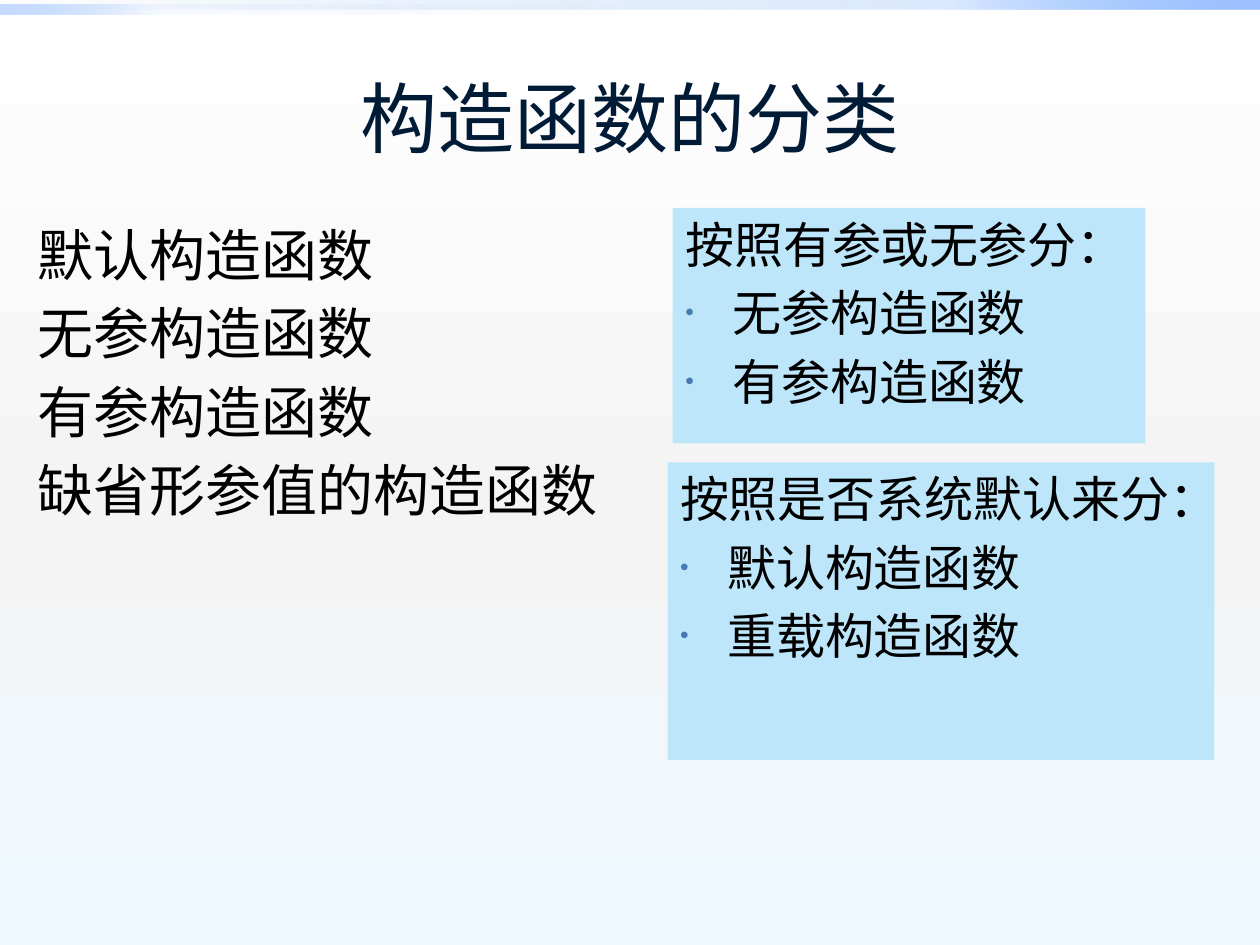
"""Build the slide on the kinds of constructors."""
from dataclasses import dataclass

from lxml.etree import SubElement
from pptx import Presentation
from pptx.dml.color import RGBColor
from pptx.enum.shapes import MSO_SHAPE
from pptx.enum.text import MSO_ANCHOR, MSO_AUTO_SIZE, PP_ALIGN
from pptx.oxml.ns import qn
from pptx.util import Cm, Pt

WHITE = RGBColor(0xFF, 0xFF, 0xFF)
PALE_GREY = RGBColor(0xF4, 0xF4, 0xF4)
PALE_BLUE = RGBColor(0xEE, 0xF9, 0xFF)
DEEP_BLUE = RGBColor(0x00, 0x58, 0xB7)
BRIGHT_BLUE = RGBColor(0x4F, 0x95, 0xFF)
SOFT_BLUE = RGBColor(0x9E, 0xC2, 0xFF)
PANEL_BLUE = RGBColor(0xBE, 0xE6, 0xFB)
BULLET_BLUE = RGBColor(0x47, 0x7A, 0xB1)
NAVY = RGBColor(0x00, 0x1B, 0x36)
BLACK = RGBColor(0x00, 0x00, 0x00)
BULLET_INDENT = Cm(0.95)


@dataclass
class Box:
    left: float
    top: float
    width: float
    height: float


@dataclass
class Stop:
    position: int
    color: RGBColor
    opacity: int = 100


@dataclass
class Bar:
    box: Box
    stops: list[Stop]
    angle: int


@dataclass
class Line:
    text: str
    bulleted: bool = False


BARS = [
    Bar(Box(0, 0, 25.4, 0.2),
        [Stop(0, DEEP_BLUE, 0), Stop(75, BRIGHT_BLUE, 20), Stop(100, SOFT_BLUE)], 315),
    Bar(Box(0, 0.1, 12.7, 0.2),
        [Stop(0, DEEP_BLUE, 0), Stop(75, BRIGHT_BLUE, 5), Stop(100, SOFT_BLUE, 60)], 135),
]
BACKGROUND = [Stop(0, WHITE), Stop(55, PALE_GREY), Stop(100, PALE_BLUE)]
BY_PARAMETERS = [Line("按照有参或无参分："), Line("无参构造函数", True), Line("有参构造函数", True)]
BY_DEFAULT = [Line("按照是否系统默认来分："), Line("默认构造函数", True), Line("重载构造函数", True)]
CONSTRUCTORS = [Line("默认构造函数"), Line("无参构造函数"), Line("有参构造函数"), Line("缺省形参值的构造函数")]


def place(shape, box: Box) -> None:
    """Move and size a shape."""
    shape.left, shape.top = Cm(box.left), Cm(box.top)
    shape.width, shape.height = Cm(box.width), Cm(box.height)


def apply_gradient(element, stops: list[Stop], angle: int) -> None:
    """Turn the solid fill of an element into a linear gradient."""
    solid = element.find(".//" + qn("a:solidFill"))
    gradient = solid.makeelement(qn("a:gradFill"), {"rotWithShape": "1"})
    stop_list = SubElement(gradient, qn("a:gsLst"))
    for stop in stops:
        entry = SubElement(stop_list, qn("a:gs"), pos=str(stop.position * 1000))
        color = SubElement(entry, qn("a:srgbClr"), val=str(stop.color))
        if stop.opacity < 100:
            SubElement(color, qn("a:alpha"), val=str(stop.opacity * 1000))
    SubElement(gradient, qn("a:lin"), ang=str(angle * 60000), scaled="0")
    solid.getparent().replace(solid, gradient)


def draw_bar(slide, bar: Bar) -> None:
    """Draw a fading bar at the top of the slide."""
    shape = slide.shapes.add_shape(MSO_SHAPE.RECTANGLE, 0, 0, 0, 0)
    place(shape, bar.box)
    shape.shadow.inherit = False
    shape.line.fill.background()
    shape.fill.solid()
    apply_gradient(shape._element, bar.stops, bar.angle)


def format_bullet(paragraph, bulleted: bool) -> None:
    """Set the indent and the bullet of a paragraph."""
    properties = paragraph._p.get_or_add_pPr()
    indent = BULLET_INDENT if bulleted else 0
    properties.set("marL", str(indent))
    properties.set("indent", str(-indent))
    if bulleted:
        color = SubElement(properties, qn("a:buClr"))
        SubElement(color, qn("a:srgbClr"), val=str(BULLET_BLUE))
        SubElement(properties, qn("a:buSzPct"), val="50000")
        SubElement(properties, qn("a:buFont"), typeface="Arial")
        SubElement(properties, qn("a:buChar"), char="•")
    else:
        SubElement(properties, qn("a:buNone"))


def format_runs(paragraph, name: str, size: int, color: RGBColor) -> None:
    """Format every run of a paragraph."""
    for run in paragraph.runs:
        run.font.name = name
        run.font.size = Pt(size)
        run.font.color.rgb = color


def fill_list(shape, box: Box, lines: list[Line], size: int) -> None:
    """Place a text shape and write its lines."""
    place(shape, box)
    frame = shape.text_frame
    frame.word_wrap = True
    frame.auto_size = MSO_AUTO_SIZE.NONE
    frame.text = "\n".join(line.text for line in lines)
    for index, (paragraph, line) in enumerate(zip(frame.paragraphs, lines)):
        format_bullet(paragraph, line.bulleted)
        paragraph.space_before = Pt(0.2 * size if index else 0)
        format_runs(paragraph, "Cambria", size, BLACK)


def fill_panel(shape, box: Box, lines: list[Line]) -> None:
    """Write a list on a light blue panel."""
    fill_list(shape, box, lines, 28)
    shape.fill.solid()
    shape.fill.fore_color.rgb = PANEL_BLUE


def fill_title(shape, box: Box, text: str) -> None:
    """Place and write the title."""
    place(shape, box)
    frame = shape.text_frame
    frame.text = text
    frame.vertical_anchor = MSO_ANCHOR.MIDDLE
    paragraph = frame.paragraphs[0]
    paragraph.alignment = PP_ALIGN.CENTER
    format_runs(paragraph, "Lato", 44, NAVY)


def main() -> None:
    """Build and save the presentation."""
    presentation = Presentation()
    presentation.slide_width, presentation.slide_height = Cm(25.4), Cm(19.05)
    slide = presentation.slides.add_slide(presentation.slide_layouts[1])
    slide.background.fill.solid()
    apply_gradient(slide._element, BACKGROUND, 90)
    for bar in BARS:
        draw_bar(slide, bar)
    fill_title(slide.shapes.title, Box(1.27, 0.76, 22.86, 3.18), "构造函数的分类")
    fill_panel(slide.placeholders[1], Box(13.56, 4.19, 9.53, 4.75), BY_PARAMETERS)
    fill_panel(slide.shapes.add_textbox(0, 0, 0, 0), Box(13.46, 9.32, 11.02, 6), BY_DEFAULT)
    fill_list(slide.shapes.add_textbox(0, 0, 0, 0), Box(0.51, 4.32, 12.17, 11.61), CONSTRUCTORS, 32)
    presentation.save("out.pptx")


if __name__ == "__main__":
    main()
